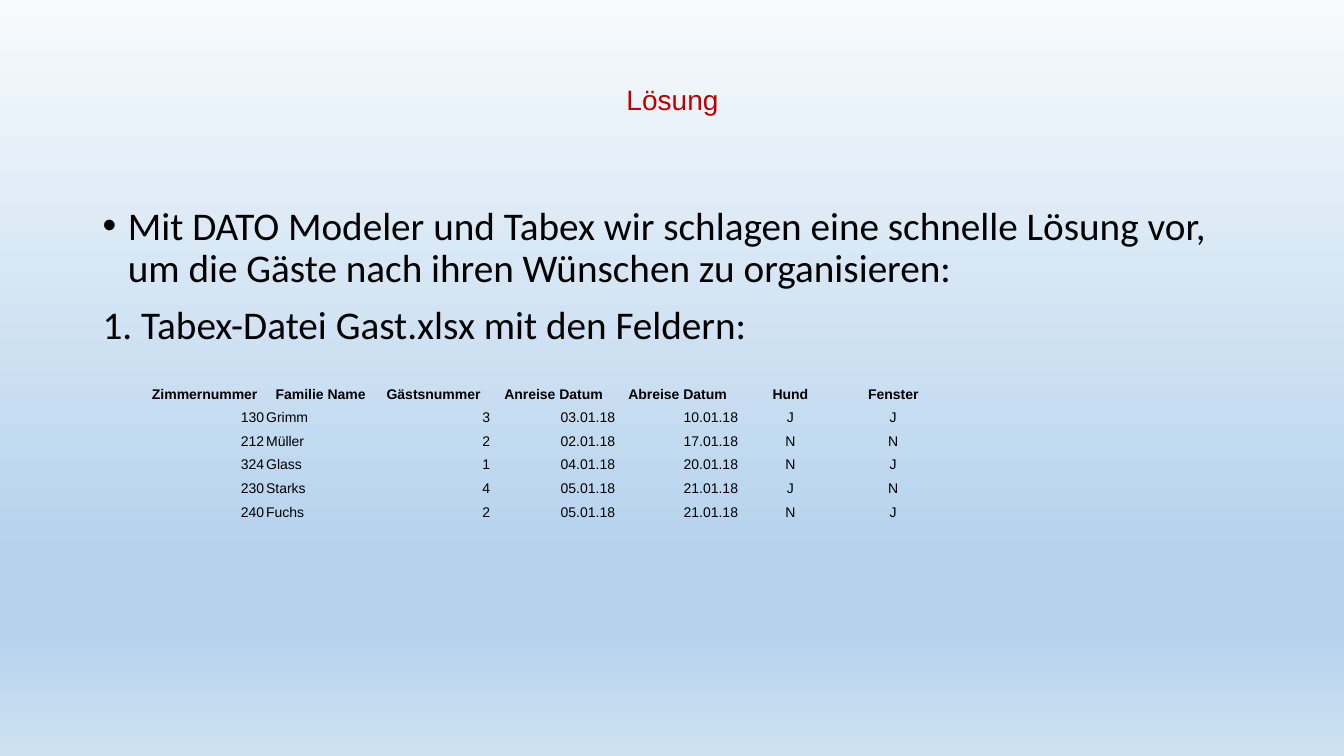
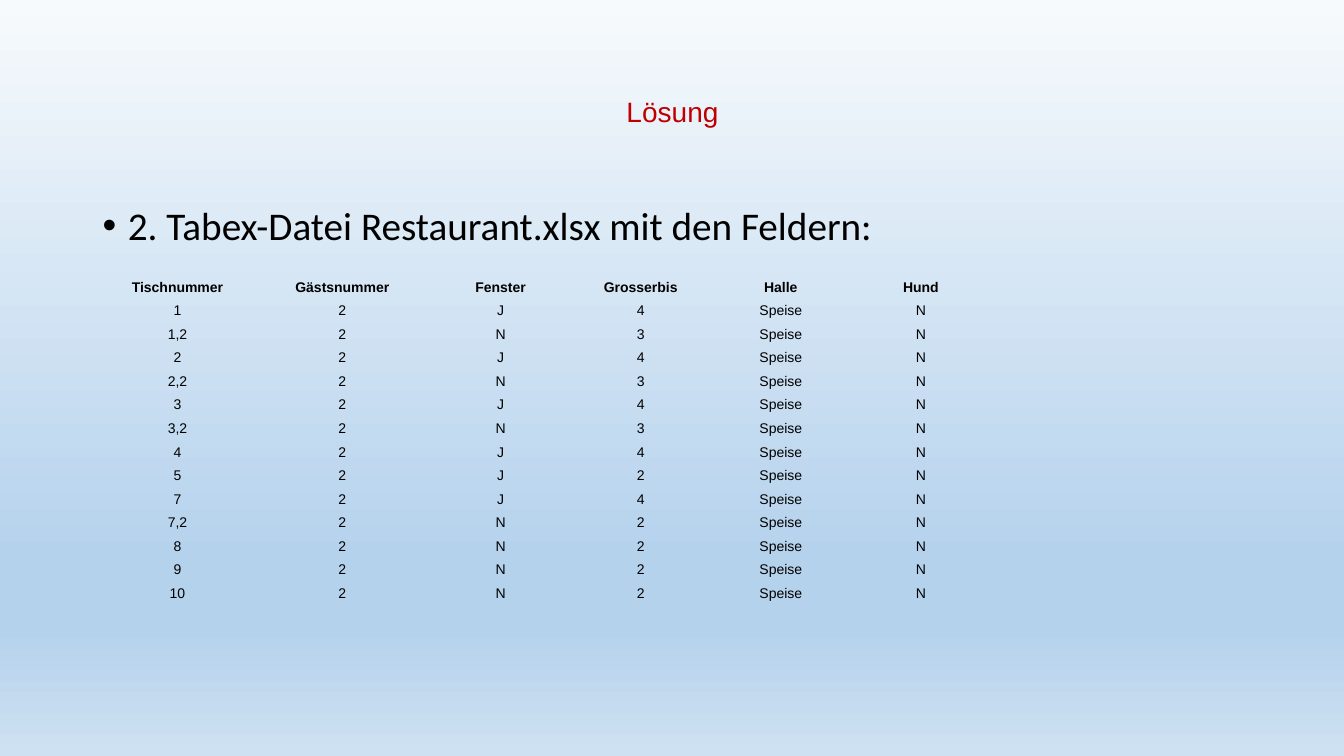
import dataclasses

import pptx
import pptx.dml.color
import pptx.enum.text
import pptx.oxml
import pptx.oxml.ns
import pptx.util

Inches, Pt = pptx.util.Inches, pptx.util.Pt
RGB = pptx.dml.color.RGBColor
ANCHOR, ALIGN = pptx.enum.text.MSO_ANCHOR, pptx.enum.text.PP_ALIGN


@dataclasses.dataclass(frozen=True)
class Theme:
    title_color: str = "C00000"
    text_color: str = "000000"
    background: tuple = ((0, "F7FAFD"), (74, "B5D2EC"), (83, "B5D2EC"), (100, "CEE1F2"))
    title_font: str = "Arial"
    body_font: str = "Calibri"
    table_font: str = "Arial"
    title_size: int = 20
    body_size: int = 28
    table_size: int = 10
    line_spacing: float = 0.9
    space_before: int = 10
    bullet_indent: float = 0.25
    table_style: str = "{2D5ABB26-0587-4C30-8999-92F81FD0307C}"  # no style, no grid


THEME = Theme()
LEFT, WIDTH = 0.92, 11.5
TITLE_TOP, BODY_TOP, BODY_HEIGHT = 0.4, 2, 4.76
ALIGNMENTS = {"l": ALIGN.LEFT, "c": ALIGN.CENTER, "r": ALIGN.RIGHT}

GUESTS = [
    ("Zimmernummer", "Familie Name", "Gästsnummer", "Anreise Datum", "Abreise Datum",
     "Hund", "Fenster", ""),
    ("130", "Grimm", "3", "03.01.18", "10.01.18", "J", "J", ""),
    ("212", "Müller", "2", "02.01.18", "17.01.18", "N", "N", ""),
    ("324", "Glass", "1", "04.01.18", "20.01.18", "N", "J", ""),
    ("230", "Starks", "4", "05.01.18", "21.01.18", "J", "N", ""),
    ("240", "Fuchs", "2", "05.01.18", "21.01.18", "N", "J", ""),
]

# Table number, window seat, largest party
RESTAURANT_TABLES = [
    ("1", "J", "4"), ("1,2", "N", "3"), ("2", "J", "4"), ("2,2", "N", "3"),
    ("3", "J", "4"), ("3,2", "N", "3"), ("4", "J", "4"), ("5", "J", "2"),
    ("7", "J", "4"), ("7,2", "N", "2"), ("8", "N", "2"), ("9", "N", "2"),
    ("10", "N", "2"),
]
RESTAURANT = [("Tischnummer", "Gästsnummer", "Fenster", "Grosserbis", "Halle", "Hund")] + [
    (number, "2", window, largest, "Speise", "N")
    for number, window, largest in RESTAURANT_TABLES
]

# Each body paragraph is (text, has bullet)
SLIDES = [
    {
        "title": "Lösung",
        "title_height": 1.22,
        "body": [
            ("Mit DATO Modeler und Tabex wir schlagen eine schnelle Lösung vor, "
             "um die Gäste nach ihren Wünschen zu organisieren:", True),
            ("1. Tabex-Datei Gast.xlsx mit den Feldern:", False),
        ],
        "table": {
            "rows": GUESTS, "at": (1.43, 3.54), "height": 1.62, "header": 0.45,
            "widths": [1.2, 1.1, 1.14, 1.24, 1.22] + [1.02] * 3, "align": "rlrrrccc",
        },
    },
    {
        "title": "Lösung",
        "title_height": 1.45,
        "body": [("2. Tabex-Datei Restaurant.xlsx mit den Feldern:", True)],
        "table": {
            "rows": RESTAURANT, "at": (1, 2.7), "height": 3.27, "header": 0.23,
            "widths": [1.52, 1.75] + [1.39] * 4, "align": "cccccc",
        },
    },
]


def xml(tag, **attributes):
    """Make one DrawingML element."""
    el = pptx.oxml.parse_xml(f"<a:{tag} {pptx.oxml.ns.nsdecls('a')}/>")
    for name, value in attributes.items():
        el.set(name, str(value))
    return el


def set_background(master):
    fill = master.background.fill
    fill.gradient()
    fill.gradient_angle = 270  # counter-clockwise, so top to bottom
    stops = next(master.element.iter(pptx.oxml.ns.qn("a:gsLst")))
    for stop in list(stops):
        stops.remove(stop)
    for percent, color in THEME.background:
        stop = xml("gs", pos=percent * 1000)
        stop.append(xml("srgbClr", val=color))
        stops.append(stop)


def add_run(p, text, font, size, color, bold=False):
    r = p.add_run()
    r.text = text
    r.font.name, r.font.size, r.font.bold = font, Pt(size), bold
    r.font.color.rgb = RGB.from_string(color)


def set_title(s, text, height):
    sp = s.shapes.title
    sp.left, sp.top = Inches(LEFT), Inches(TITLE_TOP)
    sp.width, sp.height = Inches(WIDTH), Inches(height)
    tf = sp.text_frame
    tf.vertical_anchor = ANCHOR.MIDDLE
    p = tf.paragraphs[0]
    p.alignment, p.line_spacing = ALIGN.CENTER, THEME.line_spacing
    add_run(p, text, THEME.title_font, THEME.title_size, THEME.title_color)


def add_body(s, paragraphs):
    sp = s.shapes.add_textbox(Inches(LEFT), Inches(BODY_TOP), Inches(WIDTH), Inches(BODY_HEIGHT))
    tf = sp.text_frame
    tf.word_wrap = True
    for i, (text, bullet) in enumerate(paragraphs):
        p = tf.add_paragraph() if i else tf.paragraphs[0]
        p.line_spacing, p.space_before = THEME.line_spacing, Pt(THEME.space_before)
        if bullet:
            indent = Inches(THEME.bullet_indent)
            pPr = p._p.get_or_add_pPr()
            pPr.set("marL", str(indent))
            pPr.set("indent", str(-indent))
            pPr.append(xml("buFont", typeface="Arial"))
            pPr.append(xml("buChar", char="•"))
        add_run(p, text, THEME.body_font, THEME.body_size, THEME.text_color)


def fill_cell(cell, text, alignment, bold):
    cell.fill.background()
    cell.vertical_anchor = ANCHOR.BOTTOM
    cell.margin_left = cell.margin_right = cell.margin_top = Inches(0.01)
    cell.margin_bottom = 0
    p = cell.text_frame.paragraphs[0]
    p.alignment = alignment
    if text:
        add_run(p, text, THEME.table_font, THEME.table_size, THEME.text_color, bold)
    else:  # keeps an empty cell from stretching its row
        p._p.get_or_add_endParaRPr().set("sz", str(THEME.table_size * 100))


def add_data_table(s, rows, at, height, header, widths, align):
    left, top = at
    frame = s.shapes.add_table(len(rows), len(widths), Inches(left), Inches(top),
                               Inches(sum(widths)), Inches(height))
    table = frame.table
    table.first_row = table.horz_banding = False
    next(frame._element.iter(pptx.oxml.ns.qn("a:tableStyleId"))).text = THEME.table_style
    for column, width in zip(table.columns, widths):
        column.width = Inches(width)
    row_height = (height - header) / (len(rows) - 1)
    for i, values in enumerate(rows):
        table.rows[i].height = Inches(row_height if i else header)
        for j, text in enumerate(values):
            alignment = ALIGNMENTS[align[j]] if i else ALIGN.CENTER
            fill_cell(table.cell(i, j), text, alignment, bold=i == 0)


def main():
    prs = pptx.Presentation()
    prs.slide_width, prs.slide_height = Inches(13.33), Inches(7.5)
    set_background(prs.slide_master)
    title_only = prs.slide_layouts.get_by_name("Title Only")
    for content in SLIDES:
        s = prs.slides.add_slide(title_only)
        set_title(s, content["title"], content["title_height"])
        add_body(s, content["body"])
        add_data_table(s, **content["table"])
    prs.save("out.pptx")


if __name__ == "__main__":
    main()
